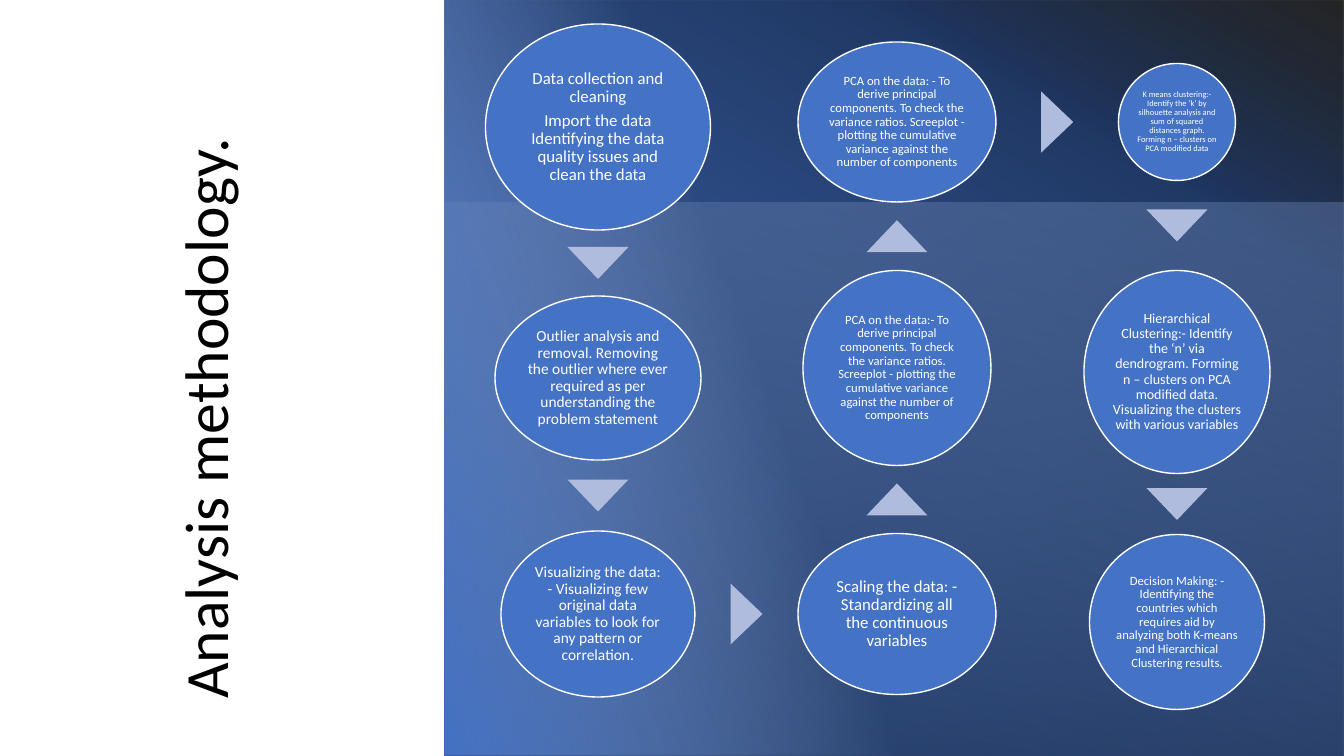
"""Build the analysis methodology slide: nine steps snaking through three columns."""
from lxml import etree
from pptx import Presentation
from pptx.dml.color import RGBColor
from pptx.enum.shapes import MSO_SHAPE as Preset
from pptx.enum.text import MSO_ANCHOR as Anchor, MSO_AUTO_SIZE as AutoSize, PP_ALIGN as Align
from pptx.oxml.ns import qn
from pptx.util import Pt

PX = 914400 / 100.8
COLORS = {"blue": "4472C4", "navy": "203864", "black": "000000",
          "sky": "8FAADC", "arrow": "B0BCDE", "white": "FFFFFF"}
FONT = "Calibri"
TITLE = "Analysis methodology."
TITLE_BOX = (-123, 304, 664, 146)

# box, rotation, mirrored, gradient angle, stops as (position %, colour, opacity %)
PANELS = [
    ((445, 0, 899, 756), 0, False, 300,
     [(2, "blue", 100), (78, "navy", 100), (100, "black", 85)]),
    ((445, 203, 899, 553), 0, True, 80, [(0, "sky", 30), (100, "black", 44)]),
    ((448, -4, 756, 763), 90, True, 110, [(56, "sky", 0), (100, "blue", 100)]),
]

COLUMNS = [598, 897, 1177]
# column, centre y, width, height, font size, inset, paragraphs
STEPS = [
    (0, 127, 225, 206, 12, 2, [
        "Data collection and cleaning",
        "Import the data Identifying the data quality issues and clean the data"]),
    (0, 378, 206, 164, 11, 2, [
        "Outlier analysis and removal. Removing the outlier where ever required "
        "as per understanding the problem statement"]),
    (0, 614, 194, 166, 11, 2, [
        "Visualizing the data: - Visualizing few original data variables "
        "to look for any pattern or correlation."]),
    (1, 614, 198, 161, 12, 2, [
        "Scaling the data: - Standardizing all the continuous variables"]),
    (1, 368, 188, 195, 9, 1, [
        "PCA on the data:- To derive principal components. To check the variance ratios. "
        "Screeplot - plotting the cumulative variance against the number of components"]),
    (1, 122, 198, 160, 9, 1, [
        "PCA on the data: - To derive principal components. To check the variance ratios. "
        "Screeplot - plotting the cumulative variance against the number of components"]),
    (2, 122, 117, 117, 6, 1, [
        "K means clustering:- Identify the ‘k’ by silhouette analysis and sum of squared "
        "distances graph. Forming n – clusters on PCA modified data"]),
    (2, 372, 186, 203, 10, 1, [
        "Hierarchical Clustering:- Identify the ‘n’ via dendrogram. Forming n – clusters on "
        "PCA modified data. Visualizing the clusters with various variables"]),
    (2, 622, 175, 175, 9, 1, [
        "Decision Making: - Identifying the countries which requires aid by analyzing both "
        "K-means and Hierarchical Clustering results."]),
]
ARROW_W, ARROW_H = 61, 32


def px(value):
    return round(value * PX)


def rgb(name):
    return RGBColor.from_string(COLORS[name])


def add_shape(page, preset, box, fill=None):
    shape = page.shapes.add_shape(preset, *map(px, box))
    shape.shadow.inherit = False
    shape.line.fill.background()
    if fill:
        shape.fill.solid()
        shape.fill.fore_color.rgb = rgb(fill)
    return shape


def add_panel(page, box, rotation, mirrored, angle, stops):
    panel = add_shape(page, Preset.RECTANGLE, box)
    panel.rotation = rotation
    properties = panel.element.spPr
    if mirrored:
        properties.xfrm.set("flipH", "1")
    gradient = etree.Element(qn("a:gradFill"), rotWithShape="1")
    stop_list = etree.SubElement(gradient, qn("a:gsLst"))
    for position, color, opacity in stops:
        stop = etree.SubElement(stop_list, qn("a:gs"), pos=str(position * 1000))
        tint = etree.SubElement(stop, qn("a:srgbClr"), val=COLORS[color])
        if opacity < 100:
            etree.SubElement(tint, qn("a:alpha"), val=str(opacity * 1000))
    etree.SubElement(gradient, qn("a:lin"), ang=str(angle * 60000), scaled="0")
    panel.fill.background()
    properties.replace(properties.find(qn("a:noFill")), gradient)


def write(frame, paragraphs, size, color, align):
    frame.word_wrap = True
    frame.auto_size = AutoSize.NONE
    frame.vertical_anchor = Anchor.MIDDLE
    frame.text = "\n".join(paragraphs)
    for para in frame.paragraphs:
        para.alignment = align
        para.line_spacing = 0.9
        for span in para.runs:
            span.font.size = Pt(size)
            span.font.name = FONT
            span.font.color.rgb = rgb(color)


def add_step(page, column, middle, width, height, size, inset, paragraphs):
    box = (COLUMNS[column] - width / 2, middle - height / 2, width, height)
    circle = add_shape(page, Preset.OVAL, box, "blue")
    circle.line.color.rgb = rgb("white")
    circle.line.width = Pt(1)
    frame = circle.text_frame
    frame.margin_left = frame.margin_right = px(inset)
    frame.margin_top = frame.margin_bottom = px(inset)
    write(frame, paragraphs, size, "white", Align.CENTER)
    for para in frame.paragraphs:
        para.space_after = Pt(round(size * 0.35))


def add_arrow(page, start, end):
    (col, y, width, height), (next_col, next_y, next_width, next_height) = start[:4], end[:4]
    x, next_x = COLUMNS[col], COLUMNS[next_col]
    if col != next_col:
        x, rotation = (x + width / 2 + next_x - next_width / 2) / 2, 90
    else:
        down = 1 if next_y > y else -1
        y = (y + next_y + down * (height - next_height) / 2) / 2
        rotation = 180 if down > 0 else 0
    box = (x - ARROW_W / 2, y - ARROW_H / 2, ARROW_W, ARROW_H)
    add_shape(page, Preset.ISOSCELES_TRIANGLE, box, "arrow").rotation = rotation


def main():
    deck = Presentation()
    deck.slide_width, deck.slide_height = px(1344), px(756)
    page = deck.slides.add_slide(deck.slide_layouts[5])
    title = page.shapes.title
    title.left, title.top, title.width, title.height = map(px, TITLE_BOX)
    title.rotation = 270
    write(title.text_frame, [TITLE], 44, "black", Align.LEFT)
    for panel in PANELS:
        add_panel(page, *panel)
    for index, step in enumerate(STEPS):
        if index:
            add_arrow(page, STEPS[index - 1], step)
        add_step(page, *step)
    deck.save("out.pptx")


if __name__ == "__main__":
    main()
